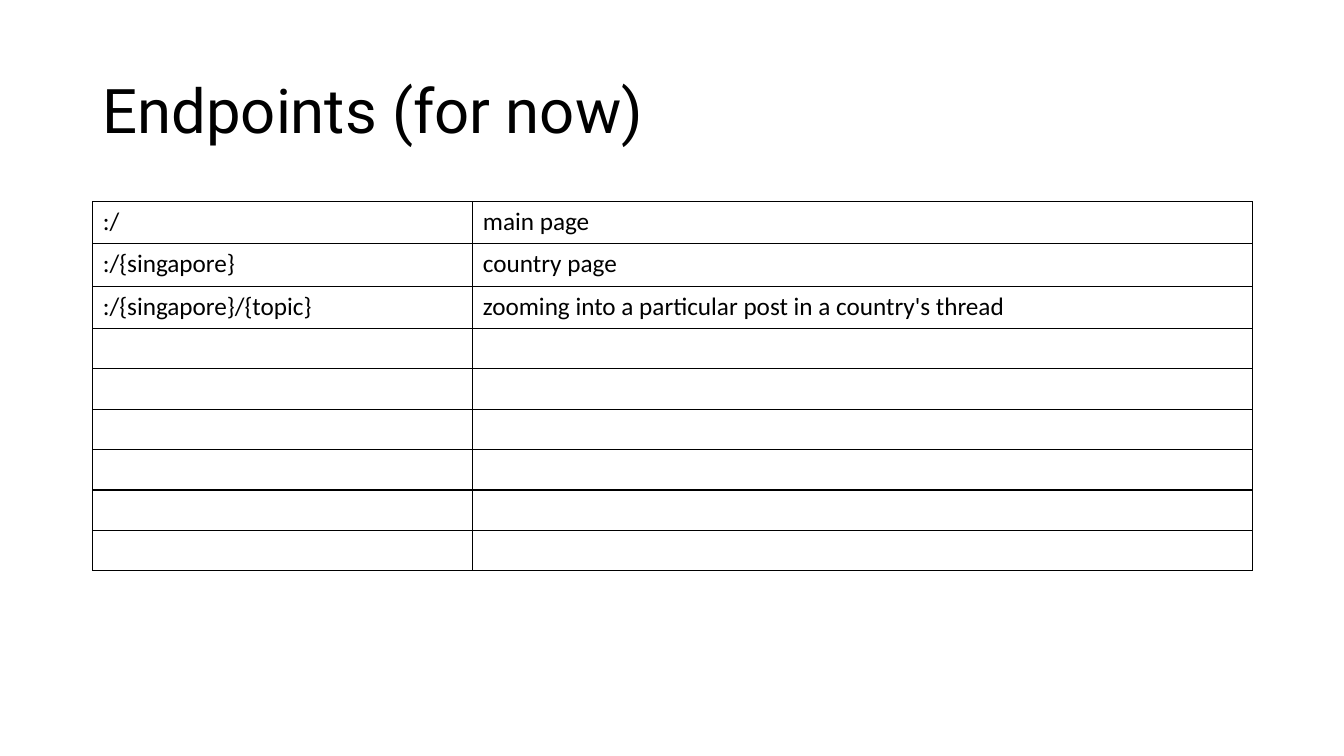
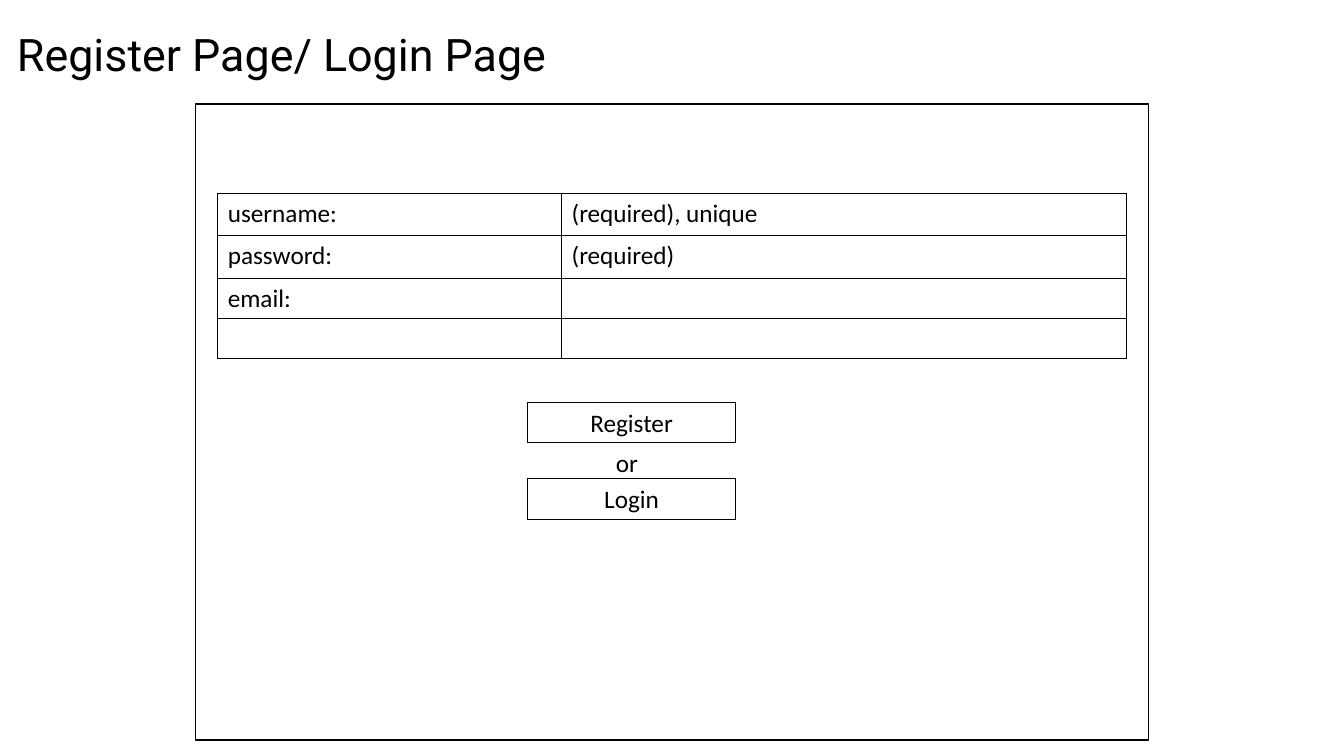
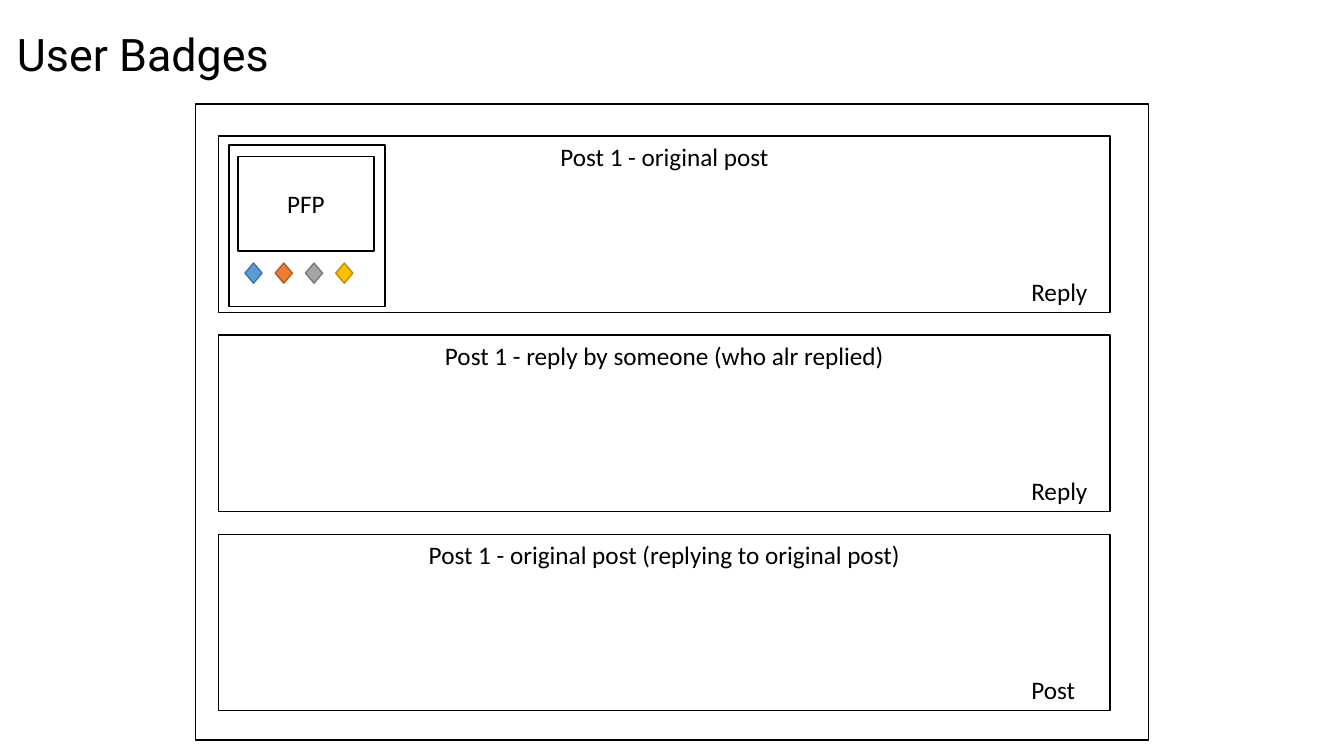
import pptx
import pptx.dml.color
import pptx.enum.shapes
import pptx.enum.text
import pptx.oxml
import pptx.oxml.ns
import pptx.util
from lxml import etree

RGBColor = pptx.dml.color.RGBColor
Inches, Pt = pptx.util.Inches, pptx.util.Pt
SHAPE = pptx.enum.shapes.MSO_SHAPE
ALIGN = pptx.enum.text.PP_ALIGN
ANCHOR = pptx.enum.text.MSO_ANCHOR

BLACK = RGBColor(0x00, 0x00, 0x00)
BADGES = [  # fill, outline
    (RGBColor(0x5B, 0x9B, 0xD5), RGBColor(0x43, 0x73, 0x9E)),
    (RGBColor(0xED, 0x7D, 0x31), RGBColor(0xAF, 0x5C, 0x24)),
    (RGBColor(0xA5, 0xA5, 0xA5), RGBColor(0x7A, 0x7A, 0x7A)),
    (RGBColor(0xFF, 0xC0, 0x00), RGBColor(0xBD, 0x8E, 0x00)),
]
TITLE_FONT, BODY_FONT = "Roboto", "Calibri"
BODY_SIZE = 18

ENDPOINTS = [
    (":/", "main page"),
    (":/{singapore}", "country page"),
    (":/{singapore}/{topic}", "zooming into a particular post in a country's thread"),
] + [("", "")] * 6
REGISTER_FIELDS = [
    ("username:", "(required), unique"),
    ("password:", "(required)"),
    ("email:", ""),
    ("", ""),
]
BUTTONS = ["Register", "Login"]
POSTS = [  # heading, action
    ("Post 1 - original post", "Reply"),
    ("Post 1 - reply by someone (who alr replied)", "Reply"),
    ("Post 1 - original post (replying to original post)", "Post"),
]

WIDE_TITLE = (0.92, 0.4, 11.5, 1.45)
TOP_TITLE = (0.07, 0.09, 11.84, 0.95)
PAGE_FRAME = (1.94, 1.03, 9.45, 6.31)
TEXT_ROW, EMPTY_ROW = 0.42, 0.4


def write(shape, text, size=BODY_SIZE, font=BODY_FONT, align=ALIGN.LEFT, anchor=ANCHOR.TOP):
    frame = shape.text_frame
    frame.word_wrap = True
    frame.vertical_anchor = anchor
    paragraph = frame.paragraphs[0]
    paragraph.text = text
    paragraph.alignment = align
    paragraph.font.size = Pt(size)
    paragraph.font.name = font
    paragraph.font.color.rgb = BLACK
    return paragraph


def add_text(slide, box, text, **style):
    return write(slide.shapes.add_textbox(*map(Inches, box)), text, **style)


def add_title(slide, text, box=TOP_TITLE, size=32):
    paragraph = add_text(slide, box, text, size=size, font=TITLE_FONT, anchor=ANCHOR.MIDDLE)
    paragraph.line_spacing = 0.9


def add_box(slide, box, text="", kind=SHAPE.RECTANGLE, fill=None, line=BLACK,
            width=1, anchor=ANCHOR.TOP):
    shape = slide.shapes.add_shape(kind, *map(Inches, box))
    shape.shadow.inherit = False
    if fill is None:
        shape.fill.background()
    else:
        shape.fill.solid()
        shape.fill.fore_color.rgb = fill
    shape.line.color.rgb = line
    shape.line.width = Pt(width)
    if text:
        write(shape, text, align=ALIGN.CENTER, anchor=anchor)


def add_borders(cell):
    properties = cell._tc.get_or_add_tcPr()
    for side in ("a:lnL", "a:lnR", "a:lnT", "a:lnB"):
        border = etree.SubElement(properties, pptx.oxml.ns.qn(side), w=str(Pt(1)))
        fill = etree.SubElement(border, pptx.oxml.ns.qn("a:solidFill"))
        etree.SubElement(fill, pptx.oxml.ns.qn("a:srgbClr"), val=str(BLACK))


def add_grid(slide, left, top, widths, rows):
    """Add a plain bordered table; rows with two texts are slightly taller."""
    heights = [TEXT_ROW if all(row) else EMPTY_ROW for row in rows]
    table = slide.shapes.add_table(
        len(rows), len(widths), Inches(left), Inches(top),
        Inches(sum(widths)), Inches(sum(heights))).table
    table.first_row = table.horz_banding = False
    for column, width in zip(table.columns, widths):
        column.width = Inches(width)
    for row, height, texts in zip(table.rows, heights, rows):
        row.height = Inches(height)
        for cell, text in zip(row.cells, texts):
            add_borders(cell)
            cell.fill.background()
            write(cell, text)


def build_endpoints(slide):
    add_title(slide, "Endpoints (for now)", WIDE_TITLE, 44)
    add_grid(slide, 0.92, 2, (3.77, 7.73), ENDPOINTS)


def build_register(slide):
    add_title(slide, "Register Page/ Login Page")
    add_box(slide, PAGE_FRAME)
    add_grid(slide, 2.16, 1.92, (3.41, 5.6), REGISTER_FIELDS)
    button_top, button_height, pitch = 3.99, 0.4, 0.76
    for index, label in enumerate(BUTTONS):
        add_box(slide, (5.23, button_top + index * pitch, 2.07, button_height),
                label, width=0.75)
    add_text(slide, (6.01, button_top + button_height, 0.52, 0.4), "or")


def build_badges(slide):
    add_title(slide, "User Badges")
    add_box(slide, PAGE_FRAME)
    post_left, post_top, post_width, post_height, pitch = 2.17, 1.35, 8.84, 1.75, 1.975
    for index, (heading, action) in enumerate(POSTS):
        top = post_top + index * pitch
        add_box(slide, (post_left, top, post_width, post_height), heading)
        add_text(slide, (10.13, top + 1.34, 0.89, 0.4), action)
    add_box(slide, (post_left + 0.1, post_top + 0.09, 1.55, 1.6))
    add_box(slide, (post_left + 0.19, post_top + 0.2, 1.35, 0.94), "PFP", anchor=ANCHOR.MIDDLE)
    for index, (fill, line) in enumerate(BADGES):
        add_box(slide, (2.43 + index * 0.3, 2.61, 0.17, 0.2),
                kind=SHAPE.DIAMOND, fill=fill, line=line)


def main():
    presentation = pptx.Presentation()
    presentation.slide_width = Inches(13.33)
    presentation.slide_height = Inches(7.5)
    blank = presentation.slide_layouts[6]
    for build in (build_endpoints, build_register, build_badges):
        build(presentation.slides.add_slide(blank))
    presentation.save("out.pptx")


if __name__ == "__main__":
    main()
